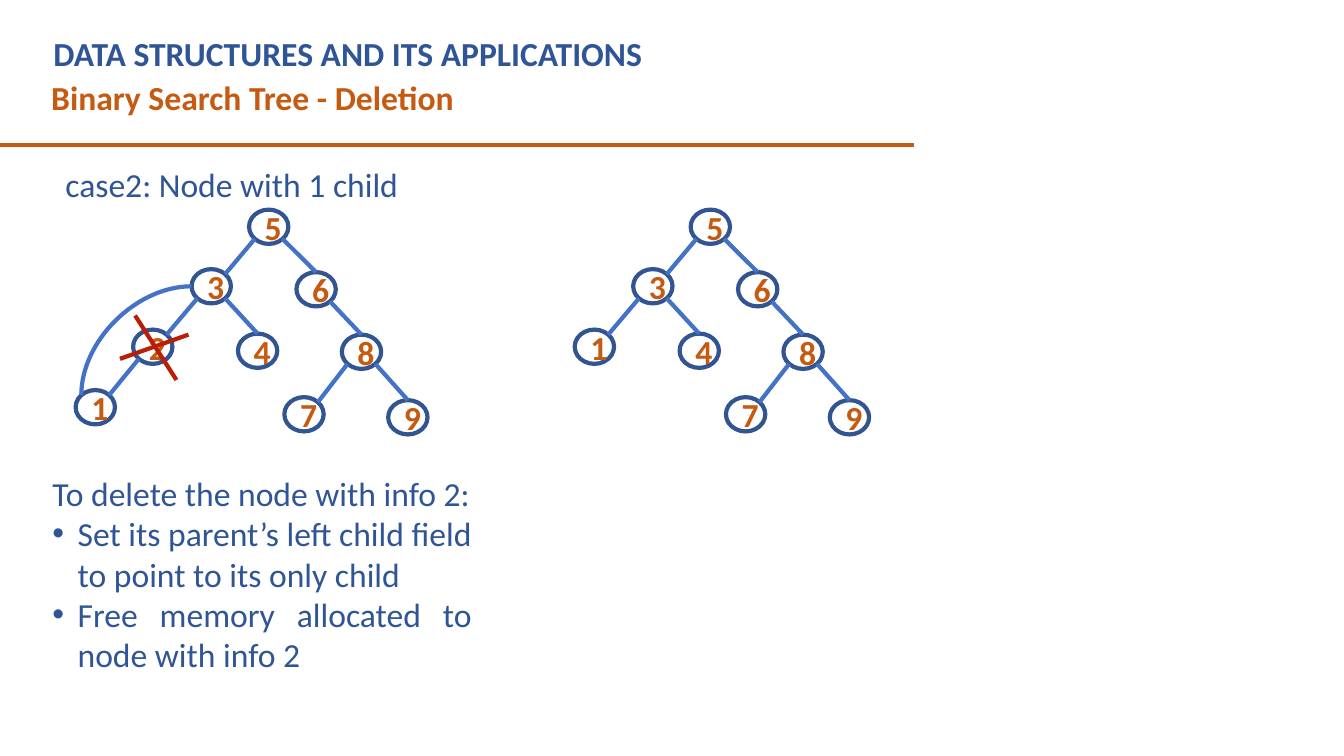
import math

import lxml.etree
import pptx
import pptx.dml.color
import pptx.enum.shapes
import pptx.enum.text
import pptx.oxml.ns
import pptx.util

Inches = pptx.util.Inches
Pt = pptx.util.Pt
ALIGN = pptx.enum.text.PP_ALIGN
ANCHOR = pptx.enum.text.MSO_ANCHOR
CONNECTOR = pptx.enum.shapes.MSO_CONNECTOR
qn = pptx.oxml.ns.qn

NAVY = pptx.dml.color.RGBColor(0x2F, 0x55, 0x97)
ORANGE = pptx.dml.color.RGBColor(0xC5, 0x5A, 0x11)
OUTLINE = pptx.dml.color.RGBColor(0x32, 0x54, 0x91)
BLUE = pptx.dml.color.RGBColor(0x44, 0x72, 0xC4)
RED = pptx.dml.color.RGBColor(0xB8, 0x1F, 0x06)
WHITE = pptx.dml.color.RGBColor(0xFF, 0xFF, 0xFF)

NODE_WIDTH, NODE_HEIGHT = 0.39, 0.34
SHARED_NODES = {
    "5": (2.47, 2.08), "3": (1.9, 2.67), "6": (2.94, 2.7), "4": (2.36, 3.31),
    "8": (3.39, 3.32), "9": (3.85, 3.97), "7": (2.82, 3.94),
}
SHARED_EDGES = ["53", "56", "34", "68", "89", "87"]
BEFORE_NODES = {**SHARED_NODES, "2": (1.32, 3.27), "1": (0.75, 3.87)}
AFTER_NODES = {**SHARED_NODES, "1": (1.32, 3.27)}
AFTER_SHIFT = 4.38

STEPS = [
    "Set its parent’s left child field to point to its only child",
    "Free memory allocated to node with info 2",
]


class SlideBuilder:
    font_name = "Calibri"
    font_size = Pt(24)
    line_width = Pt(3)

    def __init__(self, page):
        self.page = page

    def span(self, para, text, color, bold=False):
        span = para.add_run()
        span.text = text
        span.font.name = self.font_name
        span.font.size = self.font_size
        span.font.bold = bold
        span.font.color.rgb = color

    def frame(self, box, left, top, width, height):
        """Place a text box or placeholder and return its top-anchored text frame."""
        box.left, box.top = Inches(left), Inches(top)
        box.width, box.height = Inches(width), Inches(height)
        frame = box.text_frame
        frame.word_wrap = True
        frame.auto_size = pptx.enum.text.MSO_AUTO_SIZE.NONE
        frame.vertical_anchor = ANCHOR.TOP
        return frame

    def title(self, text, *place):
        para = self.frame(self.page.shapes.title, *place).paragraphs[0]
        para.alignment = ALIGN.LEFT
        self.span(para, text, NAVY, bold=True)

    def label(self, text, color, *place, bold=False):
        box = self.page.shapes.add_textbox(0, 0, 0, 0)
        frame = self.frame(box, *place)
        self.span(frame.paragraphs[0], text, color, bold)
        return frame

    def steps(self, heading, items, *place):
        frame = self.frame(self.page.placeholders[1], *place)
        for index, text in enumerate([heading, *items]):
            para = frame.add_paragraph() if index else frame.paragraphs[0]
            para.alignment = ALIGN.JUSTIFY
            para.space_before = Pt(0)
            properties = para._p.get_or_add_pPr()
            properties.set("marL", str(Inches(0.25)))
            properties.set("indent", str(-Inches(0.25)))
            if index:
                lxml.etree.SubElement(properties, qn("a:buFont"), typeface="Arial")
                lxml.etree.SubElement(properties, qn("a:buChar"), char="•")
            else:
                lxml.etree.SubElement(properties, qn("a:buNone"))
            self.span(para, text, NAVY)

    def line(self, start, end, color, kind=CONNECTOR.STRAIGHT):
        line = self.page.shapes.add_connector(
            kind, *(Inches(value) for value in (*start, *end)))
        line.line.color.rgb = color
        line.line.width = self.line_width
        properties = line.element.spPr
        lxml.etree.SubElement(properties, qn("a:effectLst"))
        return line

    def quarter_curve(self, start, end, color):
        """Draw a curve that leaves sideways and arrives vertically."""
        curve = self.line(start, end, color, CONNECTOR.CURVE)
        curve.element.spPr.find(qn("a:prstGeom")).set("prst", "curvedConnector2")

    def node(self, key, left, top):
        oval = self.page.shapes.add_shape(
            pptx.enum.shapes.MSO_SHAPE.OVAL, Inches(left), Inches(top),
            Inches(NODE_WIDTH), Inches(NODE_HEIGHT))
        oval.shadow.inherit = False
        oval.fill.solid()
        oval.fill.fore_color.rgb = WHITE
        oval.line.color.rgb = OUTLINE
        oval.line.width = self.line_width
        oval.text_frame.vertical_anchor = ANCHOR.MIDDLE
        para = oval.text_frame.paragraphs[0]
        para.alignment = ALIGN.CENTER
        self.span(para, key, ORANGE, bold=True)

    def tree(self, nodes, edges, shift=0):
        places = {key: (left + shift, top) for key, (left, top) in nodes.items()}
        for key, place in places.items():
            self.node(key, *place)
        for parent, child in edges:
            goes_left = places[child][0] < places[parent][0]
            start = rim(places[parent], 135 if goes_left else 45)
            end = rim(places[child], -45 if goes_left else -90)
            self.line(start, end, BLUE)


def rim(place, degrees):
    """Return the point on a node's outline, measured clockwise from its right."""
    angle = math.radians(degrees)
    return (place[0] + NODE_WIDTH / 2 * (1 + math.cos(angle)),
            place[1] + NODE_HEIGHT / 2 * (1 + math.sin(angle)))


def main():
    deck = pptx.Presentation()
    deck.slide_width, deck.slide_height = Inches(13.33), Inches(7.5)
    builder = SlideBuilder(deck.slides.add_slide(deck.slide_layouts[1]))

    builder.title("DATA STRUCTURES AND ITS APPLICATIONS", 0.43, 0.28, 8.2, 0.5)
    builder.label("Binary Search Tree - Deletion", ORANGE,
                  0.41, 0.71, 8.75, 0.5, bold=True)
    builder.line((-0.01, 1.44), (9.07, 1.44), ORANGE)

    case = builder.label("case2: Node with 1 child", NAVY, 0.55, 1.43, 8.35, 0.6)
    case.margin_top = case.margin_bottom = 0
    case.paragraphs[0].line_spacing = 1.5

    builder.tree(BEFORE_NODES, SHARED_EDGES + ["32", "21"])
    builder.line((1.19, 3.56), (1.87, 3.32), RED)
    builder.line((1.34, 3.13), (1.75, 3.77), RED)
    builder.quarter_curve(rim(BEFORE_NODES["3"], 180),
                          rim(BEFORE_NODES["1"], -135), BLUE)
    builder.tree(AFTER_NODES, SHARED_EDGES + ["31"], AFTER_SHIFT)

    builder.steps("To delete the node with info 2:", STEPS, 0.42, 4.64, 4.36, 2.12)
    deck.save("out.pptx")


if __name__ == "__main__":
    main()
